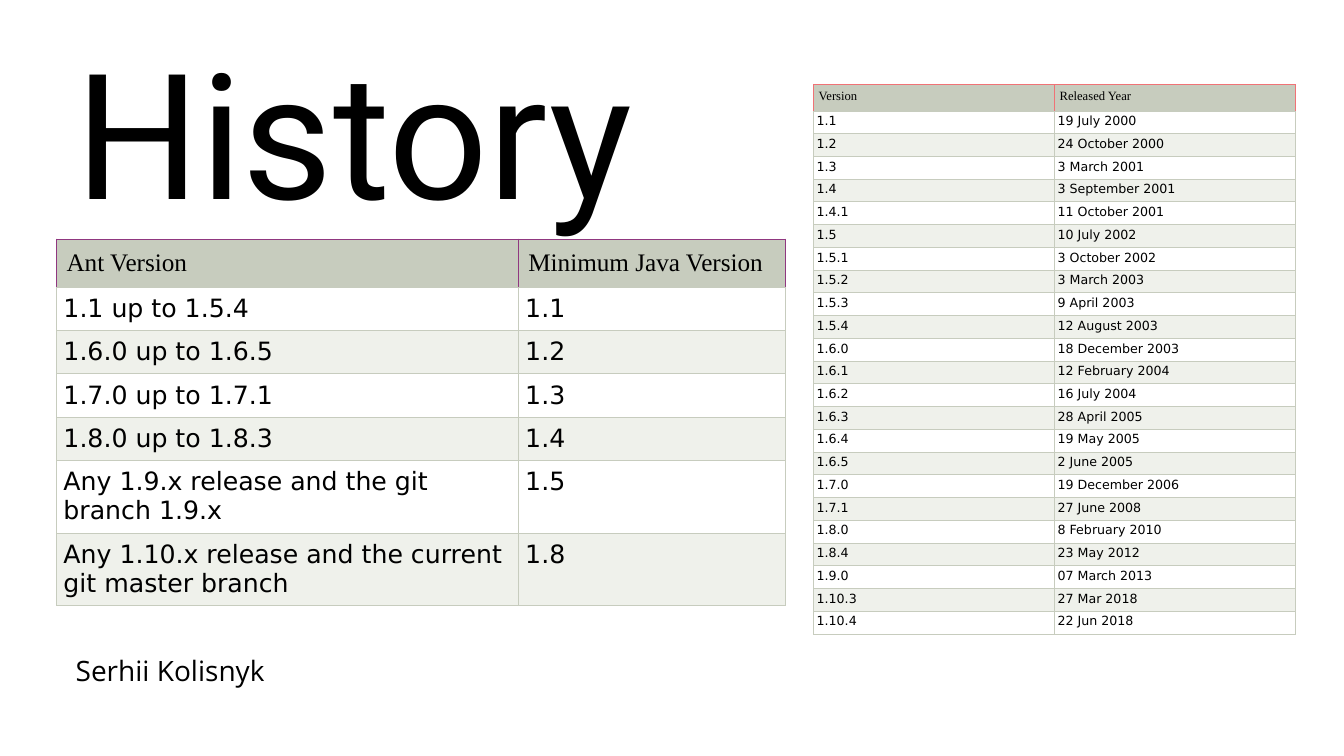
import pptx
import pptx.dml.color
import pptx.enum.text
import pptx.util
from lxml import etree
from pptx.oxml.ns import qn
from pptx.util import Inches

BLACK = "000000"
WHITE = "FFFFFF"
SAGE = "C7CCBE"
PALE_SAGE = "EFF1EB"
CORAL = "F07276"
PURPLE = "903780"

RELEASES = [
    ("Version", "Released Year"),
    ("1.1", "19 July 2000"),
    ("1.2", "24 October 2000"),
    ("1.3", "3 March 2001"),
    ("1.4", "3 September 2001"),
    ("1.4.1", "11 October 2001"),
    ("1.5", "10 July 2002"),
    ("1.5.1", "3 October 2002"),
    ("1.5.2", "3 March 2003"),
    ("1.5.3", "9 April 2003"),
    ("1.5.4", "12 August 2003"),
    ("1.6.0", "18 December 2003"),
    ("1.6.1", "12 February 2004"),
    ("1.6.2", "16 July 2004"),
    ("1.6.3", "28 April 2005"),
    ("1.6.4", "19 May 2005"),
    ("1.6.5", "2 June 2005"),
    ("1.7.0", "19 December 2006"),
    ("1.7.1", "27 June 2008"),
    ("1.8.0", "8 February 2010"),
    ("1.8.4", "23 May 2012"),
    ("1.9.0", "07 March 2013"),
    ("1.10.3", "27 Mar 2018"),
    ("1.10.4", "22 Jun 2018"),
]

JAVA_VERSIONS = [
    ("Ant Version", "Minimum Java Version"),
    ("1.1 up to 1.5.4", "1.1"),
    ("1.6.0 up to 1.6.5", "1.2"),
    ("1.7.0 up to 1.7.1", "1.3"),
    ("1.8.0 up to 1.8.3", "1.4"),
    ("Any 1.9.x release and the git branch 1.9.x", "1.5"),
    ("Any 1.10.x release and the current git master branch", "1.8"),
]


def color(hex_string):
    return pptx.dml.color.RGBColor.from_string(hex_string)


def add_span(para, text, font_name, size):
    span = para.add_run()
    span.text = text
    span.font.name = font_name
    span.font.size = pptx.util.Pt(size)
    span.font.color.rgb = color(BLACK)


def fill_placeholder(box, area, text, font_name, size, line_spacing):
    box.left, box.top, box.width, box.height = map(Inches, area)
    frame = box.text_frame
    frame.word_wrap = True
    frame.auto_size = pptx.enum.text.MSO_AUTO_SIZE.NONE
    frame.vertical_anchor = pptx.enum.text.MSO_ANCHOR.TOP
    frame.margin_left = 0
    frame.margin_right = Inches(0.1)
    frame.margin_top = frame.margin_bottom = Inches(0.05)
    para = frame.paragraphs[0]
    properties = para._p.get_or_add_pPr()
    properties.set("marL", "0")
    properties.set("indent", "0")
    etree.SubElement(properties, qn("a:buNone"))
    para.alignment = pptx.enum.text.PP_ALIGN.LEFT
    para.line_spacing = line_spacing
    para.space_before = pptx.util.Pt(0)
    add_span(para, text, font_name, size)


def set_borders(cell, side_color):
    properties = cell._tc.get_or_add_tcPr()
    for side, hex_string in zip("LRTB", (side_color,) * 3 + (SAGE,)):
        line = etree.SubElement(properties, qn(f"a:ln{side}"), w=str(pptx.util.Pt(0.6)))
        solid = etree.SubElement(line, qn("a:solidFill"))
        etree.SubElement(solid, qn("a:srgbClr"), val=hex_string)


def format_cell(cell, text, font_name, size, margin, fill, side_color):
    set_borders(cell, side_color)
    cell.fill.solid()
    cell.fill.fore_color.rgb = color(fill)
    cell.margin_left = cell.margin_right = Inches(margin)
    cell.margin_top = cell.margin_bottom = Inches(margin)
    add_span(cell.text_frame.paragraphs[0], text, font_name, size)


def add_version_table(slide, area, rows, widths, heights, size, margins, header_line):
    shape = slide.shapes.add_table(len(rows), len(widths), *map(Inches, area))
    table = shape.table
    for column, width in zip(table.columns, widths):
        column.width = Inches(width)
    for row_index, (texts, height) in enumerate(zip(rows, heights)):
        table.rows[row_index].height = Inches(height)
        for column_index, text in enumerate(texts):
            cell = table.cell(row_index, column_index)
            if row_index == 0:
                format_cell(cell, text, "Times New Roman", size, margins[0], SAGE, header_line)
            else:
                fill = WHITE if row_index % 2 else PALE_SAGE
                format_cell(cell, text, "DejaVu Sans", size, margins[1], fill, SAGE)


def main():
    deck = pptx.Presentation()
    deck.slide_width = Inches(13.33)
    deck.slide_height = Inches(7.5)
    slide = deck.slides.add_slide(deck.slide_layouts[1])
    slide.background.fill.solid()
    slide.background.fill.fore_color.rgb = color(WHITE)

    fill_placeholder(slide.shapes.title, (0.75, 0.75, 11.83, 5.25),
                     "History", "Roboto", 125, pptx.util.Pt(110))
    fill_placeholder(slide.placeholders[1], (0.75, 6.47, 3.79, 0.32),
                     "Serhii Kolisnyk", "Open Sans", 20, 0.9)

    header_height = 0.26
    release_height = (5.45 - header_height) / (len(RELEASES) - 1)
    release_heights = [header_height] + [release_height] * (len(RELEASES) - 1)
    add_version_table(slide, (8.07, 0.84, 4.79, 5.45), RELEASES, (2.39, 2.39),
                      release_heights, 9, (0.05, 0.03), CORAL)
    add_version_table(slide, (0.56, 2.37, 7.22, 3.7), JAVA_VERSIONS, (4.58, 2.65),
                      [0.4] + [0.35] * 4 + [0.58] * 2, 18, (0.1, 0.07), PURPLE)
    deck.save("out.pptx")


if __name__ == "__main__":
    main()
